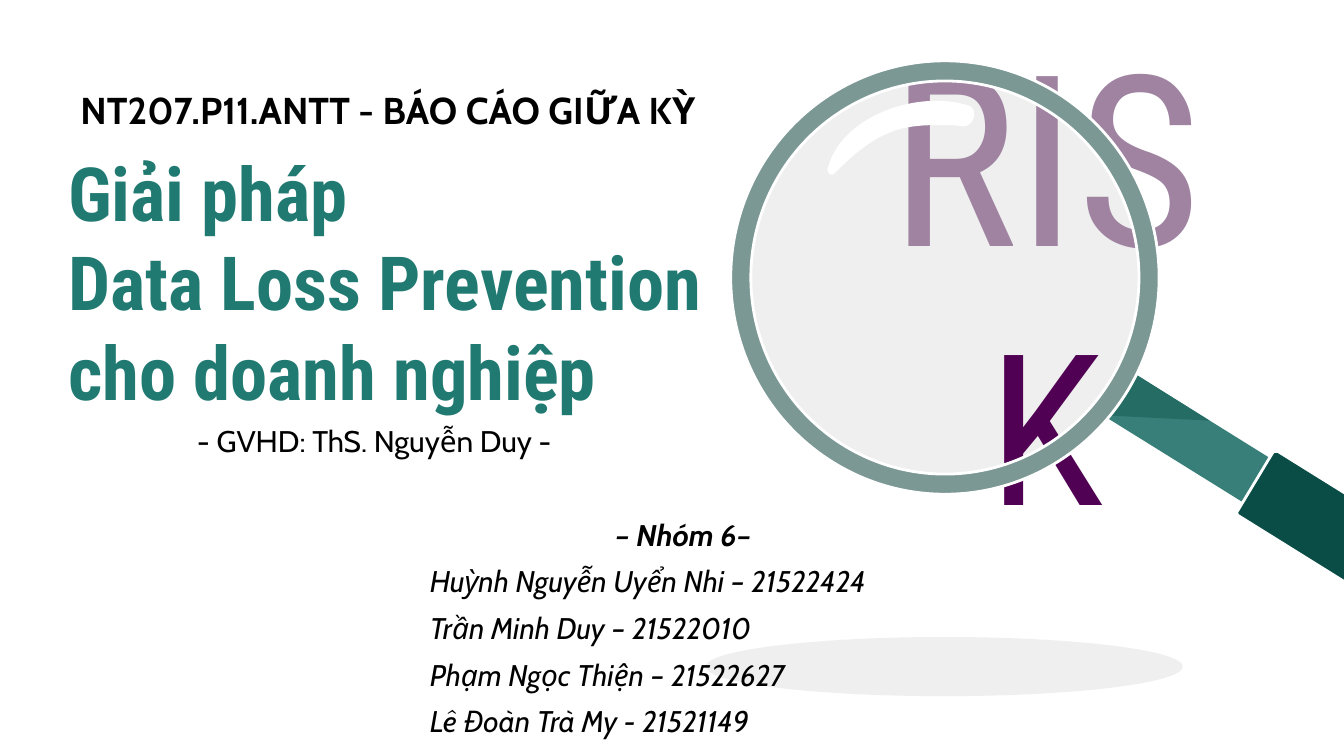
from dataclasses import dataclass

import pptx
import pptx.dml.color
import pptx.enum.shapes
import pptx.enum.text
import pptx.oxml
import pptx.oxml.ns
import pptx.util

Pt = pptx.util.Pt
RGB = pptx.dml.color.RGBColor
Kind = pptx.enum.shapes.MSO_SHAPE
Align = pptx.enum.text.PP_ALIGN
Anchor = pptx.enum.text.MSO_ANCHOR

WHITE = RGB(0xFF, 0xFF, 0xFF)
BLACK = RGB(0x00, 0x00, 0x00)
TEAL = RGB(0x21, 0x7A, 0x72)
MAUVE = RGB(0x9F, 0x83, 0xA1)
PLUM = RGB(0x50, 0x01, 0x53)
GLASS = RGB(0xE0, 0xE0, 0xE0)
SHADE = RGB(0xEF, 0xEF, 0xEF)
RIM = RGB(0x7B, 0x98, 0x95)
ARM = RGB(0x37, 0x7F, 0x78)
DUSK = RGB(0x25, 0x6C, 0x65)
GRIP = RGB(0x0A, 0x4D, 0x47)

HEAD = "Roboto Condensed"
BODY = "Cabin"
STEPS = 12  # line pieces per curve


@dataclass
class Run:
    text: str
    size: float
    font: str = BODY
    color: RGB = BLACK
    bold: bool = False
    ital: bool = False


@dataclass
class Para:
    runs: list[Run]
    align: Align = Align.LEFT
    space: float | None = None


@dataclass
class Box:
    area: tuple[float, ...]
    paras: list[Para]
    inset: tuple[float, ...] = (7.2, 7.2, 7.2, 7.2)  # left, top, right, bottom


@dataclass
class Form:
    start: tuple[float, float]
    sides: list[tuple[float, ...]]  # two numbers: line; six: cubic curve
    fill: RGB
    edge: float = 0


def paint(shape, fill: RGB, edge: float) -> None:
    shape.shadow.inherit = False
    shape.fill.solid()
    shape.fill.fore_color.rgb = fill
    if edge:
        shape.line.color.rgb = WHITE
        shape.line.width = Pt(edge)
    else:
        shape.line.fill.background()


def draw_round(slide, kind: Kind, area: tuple[float, ...], fill: RGB, edge: float = 0):
    shape = slide.shapes.add_shape(kind, *map(Pt, area))
    paint(shape, fill, edge)
    return shape


def draw_form(slide, form: Form) -> None:
    points = [form.start]
    for side in form.sides:
        if len(side) == 2:
            points.append(side)
            continue
        (ax, ay), (bx, by, cx, cy, dx, dy) = points[-1], side
        for step in range(1, STEPS + 1):
            t = step / STEPS
            u = 1 - t
            a, b, c, d = u**3, 3 * u * u * t, 3 * u * t * t, t**3
            points.append((a * ax + b * bx + c * cx + d * dx,
                           a * ay + b * by + c * cy + d * dy))
    spots = [(Pt(x), Pt(y)) for x, y in points]
    pen = slide.shapes.build_freeform(*spots[0])
    pen.add_line_segments(spots[1:], close=True)
    paint(pen.convert_to_shape(), form.fill, form.edge)


def draw_text(slide, box: Box) -> None:
    frame = slide.shapes.add_textbox(*map(Pt, box.area)).text_frame
    frame.word_wrap = True
    frame.vertical_anchor = Anchor.MIDDLE
    (frame.margin_left, frame.margin_top,
     frame.margin_right, frame.margin_bottom) = map(Pt, box.inset)
    for index, para in enumerate(box.paras):
        line = frame.add_paragraph() if index else frame.paragraphs[0]
        line.alignment = para.align
        if para.space:
            line.line_spacing = para.space
        for item in para.runs:
            for row, text in enumerate(item.text.split("\n")):
                if row:
                    line.add_line_break()
                run = line.add_run()
                run.text = text
                run.font.size = Pt(item.size)
                run.font.name = item.font
                run.font.color.rgb = item.color
                run.font.bold = item.bold
                run.font.italic = item.ital


deck = pptx.Presentation()
deck.slide_width, deck.slide_height = Pt(720), Pt(405)
slide = deck.slides.add_slide(deck.slide_layouts[6])

# Half-clear glass of the lens
lens = draw_round(slide, Kind.OVAL, (398.9, 40.3, 214.6, 216.7), GLASS, 3)
tint = lens.element.spPr.find(".//" + pptx.oxml.ns.qn("a:srgbClr"))
tint.append(pptx.oxml.parse_xml(
    f'<a:alpha {pptx.oxml.ns.nsdecls("a")} val="50000"/>'))

# Headings and the big word behind the rim
draw_text(slide, Box((29.5, 84.2, 386.6, 132.5), [Para([
    Run("Giải pháp\nData Loss Prevention\ncho doanh nghiệp", 40, HEAD, TEAL, True)])]))
draw_text(slide, Box((36, 41, 361.4, 35.3), [Para([
    Run("NT207.P11.ANTT - BÁO CÁO GIỮA KỲ", 20, bold=True)])]))
draw_text(slide, Box((440.6, 84.2, 239.8, 128.9), [Para([
    Run("RIS", 128, HEAD, MAUVE), Run("K", 113, HEAD, PLUM)], Align.CENTER)]))

# Ground shadow
draw_round(slide, Kind.OVAL, (378, 341.3, 255.6, 31.7), SHADE)

# Arm, its dark side and the grip
draw_form(slide, Form((604.1, 198), [
    (589.7, 221.8), (686.9, 282.2), (701.3, 258.5)], ARM))
draw_form(slide, Form((605.5, 198.7), [
    (605.5, 198.7, 599, 213.1, 591.1, 222.5), (648, 225.4)], DUSK))
draw_form(slide, Form((684, 241.9), [
    (683.3, 241.9, 681.8, 241.9, 681.8, 242.6), (663.1, 273.6),
    (662.4, 274.3, 662.4, 275.8, 663.8, 276.5), (763.2, 338.4),
    (765.4, 339.8, 768.2, 340.6, 770.4, 340.6),
    (775.4, 340.6, 779.8, 338.4, 782.6, 334.1), (789.1, 324),
    (792.7, 316.8, 790.6, 308.2, 784.1, 303.8), (684.7, 241.9)], GRIP, 1.5))

# Rim and glint
rim = draw_round(slide, Kind.DONUT, (391.5, 32.6, 229.5, 232.2), RIM, 1.5)
rim.adjustments[0] = 0.047
draw_form(slide, Form((501.8, 54), [
    (492, 54, 481, 56.2, 471.6, 60.5),
    (458.6, 66.2, 447.1, 76.3, 443.5, 90),
    (442.8, 91.4, 444.2, 93.6, 445.7, 93.6),
    (446.4, 93.6, 446.4, 92.9, 447.1, 92.9),
    (455.8, 84.2, 464.4, 76.3, 475.9, 71.3),
    (484.6, 67.7, 493.2, 67, 502.6, 67),
    (506.9, 67, 511.2, 67, 516.2, 67.7),
    (522, 67.7, 524.9, 57.6, 517.7, 56.2),
    (512.6, 54.7, 507.6, 54, 501.8, 54)], WHITE))

# Group members and teacher
names = ["Huỳnh Nguyễn Uyển Nhi – 21522424", "Trần Minh Duy – 21522010",
         "Phạm Ngọc Thiện – 21522627", "Lê Đoàn Trà My - 21521149"]
team = [Para([Run("– Nhóm 6–", 16, bold=True, ital=True)], Align.CENTER, 1.3)]
team += [Para([Run(name, 16, ital=True)], Align.JUSTIFY, 1.3) for name in names]
draw_text(slide, Box((223.2, 273.6, 285.8, 144.7), team, (7.2, 0, 7.2, 25.2)))
draw_text(slide, Box((98.6, 222.5, 396, 26.6), [Para([
    Run("- GVHD: ThS. Nguyễn Duy -", 16)])], (7.2, 3.6, 7.2, 3.6)))

deck.save("out.pptx")
